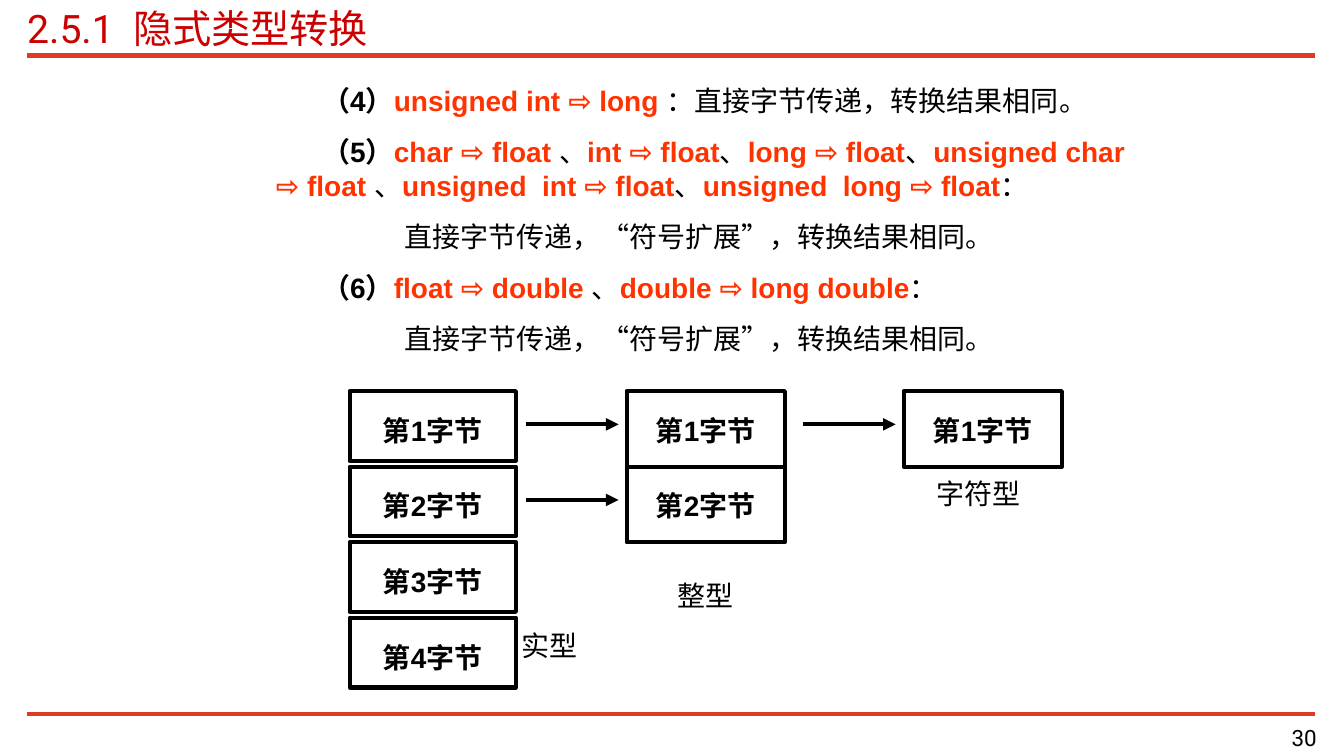
from lxml.etree import SubElement
from pptx import Presentation
from pptx.dml.color import RGBColor
from pptx.enum.shapes import MSO_CONNECTOR, MSO_SHAPE
from pptx.enum.text import MSO_ANCHOR, PP_ALIGN
from pptx.oxml.ns import qn
from pptx.util import Inches, Pt

# Content
TITLE = "2.5.1  隐式类型转换"
PAGE = "30"
SAME = "直接字节传递，“符号扩展”，转换结果相同。"
# Each paragraph: first-line indent, then (style, text) runs
ITEM, DETAIL = 0.46, 1.28
BODY = [
    (ITEM, [("label", "（4）"), ("type", "unsigned int ⇨ long "),
            ("plain", "：直接字节传递，转换结果相同。")]),
    (ITEM, [("label", "（5）"), ("type", "char ⇨ float "), ("plain", "、"),
            ("type", "int ⇨ float"), ("plain", "、"),
            ("type", "long ⇨ float"), ("plain", "、"),
            ("type", "unsigned char ⇨ float "), ("plain", "、"),
            ("type", "unsigned  int ⇨ float"), ("plain", "、"),
            ("type", "unsigned  long ⇨ float"), ("plain", "：")]),
    (DETAIL, [("plain", SAME)]),
    (ITEM, [("label", "（6）"), ("type", "float ⇨ double "), ("plain", "、"),
            ("type", "double ⇨ long double"), ("plain", "：")]),
    (DETAIL, [("plain", SAME)]),
]
# Byte columns: number of bytes, box width, box height
COLUMNS = [(4, 1.65, 0.69), (2, 1.57, 0.75), (1, 1.57, 0.75)]
# Column captions: text, left, top, alignment
CAPTIONS = [("实型", 5.18, 6.24, PP_ALIGN.LEFT),
            ("整型", 6.5, 5.74, PP_ALIGN.CENTER),
            ("字符型", 9.21, 4.73, PP_ALIGN.CENTER)]
ARROWS = [(0, 0), (0, 1), (1, 0)]  # column, row

# Style
COLORS = {"title": "CC0000", "rule": "E13A23", "type": "FF3300", "ink": "000000"}
STYLES = {"label": (True, "ink"), "type": (True, "type"), "plain": (False, "ink")}
W, H = 13.34, 7.5
MARGIN, CONTENT_W = 0.27, 12.78
GRID_X, GRID_Y, COL_PITCH, ROW_PITCH = 3.47, 3.88, 2.75, 0.75


def color(name):
    return RGBColor.from_string(COLORS[name])


def add_run(p, text, size=20, font="Arial", ink="ink", bold=False):
    r = p.add_run()
    r.text = text
    r.font.size, r.font.name, r.font.bold = Pt(size), font, bold
    r.font.color.rgb = color(ink)


def set_frame(tf, left=0, top=0, anchor=MSO_ANCHOR.TOP):
    tf.word_wrap = True
    tf.vertical_anchor = anchor
    tf.margin_left = tf.margin_right = Inches(left)
    tf.margin_top = tf.margin_bottom = Inches(top)
    return tf


def add_text(s, x, y, w, h, **frame):
    box = s.shapes.add_textbox(Inches(x), Inches(y), Inches(w), Inches(h))
    return set_frame(box.text_frame, **frame)


def add_line(s, x1, x2, y, width, ink, arrow=False):
    line = s.shapes.add_connector(MSO_CONNECTOR.STRAIGHT, Inches(x1), Inches(y),
                                  Inches(x2), Inches(y))
    line.line.width = Pt(width)
    line.line.color.rgb = color(ink)
    if arrow:
        SubElement(line.line._get_or_add_ln(), qn("a:tailEnd"), type="triangle")
    SubElement(line._element.spPr, qn("a:effectLst"))


def add_byte(s, x, y, w, h, text):
    sp = s.shapes.add_shape(MSO_SHAPE.RECTANGLE, Inches(x), Inches(y),
                            Inches(w), Inches(h))
    sp.shadow.inherit = False
    sp.fill.background()
    sp.line.color.rgb = color("ink")
    sp.line.width = Pt(3)
    tf = set_frame(sp.text_frame, left=0.1)
    tf.margin_top = Inches(0.22)
    p = tf.paragraphs[0]
    p.alignment = PP_ALIGN.CENTER
    add_run(p, text, bold=True)


prs = Presentation()
prs.slide_width, prs.slide_height = Inches(W), Inches(H)
s = prs.slides.add_slide(prs.slide_layouts[5])

# Title and rules
title = s.shapes.title
title.left, title.top = Inches(MARGIN), Inches(0.04)
title.width, title.height = Inches(CONTENT_W), Inches(0.47)
p = set_frame(title.text_frame, anchor=MSO_ANCHOR.MIDDLE).paragraphs[0]
p.alignment = PP_ALIGN.LEFT
add_run(p, TITLE, 28, "Roboto", "title")
for y, width in [(0.55, 4), (7.08, 3)]:
    add_line(s, MARGIN, MARGIN + CONTENT_W, y, width, "rule")

# Conversion rules
tf = add_text(s, 2.64, 0.78, 8.83, 2.9, left=0.1, top=0.05)
for i, (indent, runs) in enumerate(BODY):
    p = tf.paragraphs[0] if i == 0 else tf.add_paragraph()
    p._p.get_or_add_pPr().set("indent", str(Inches(indent)))
    if i:
        p.space_before = Pt(12.5)
    for style, text in runs:
        bold, ink = STYLES[style]
        add_run(p, text, ink=ink, bold=bold)

# Byte columns
for col, (count, w, h) in enumerate(COLUMNS):
    for row in range(count):
        add_byte(s, GRID_X + col * COL_PITCH, GRID_Y + row * ROW_PITCH, w, h,
                 f"第{row + 1}字节")

# Arrows end just before the next column
for col, row in ARROWS:
    end = GRID_X + (col + 1) * COL_PITCH - 0.08
    add_line(s, end - 0.92, end, GRID_Y + 0.33 + row * ROW_PITCH, 3, "ink", arrow=True)

# Captions and page number
for text, x, y, align in CAPTIONS:
    p = add_text(s, x, y, 1, 0.34).paragraphs[0]
    p.alignment = align
    add_run(p, text)
p = add_text(s, 10.39, 7.16, 2.68, 0.31, anchor=MSO_ANCHOR.MIDDLE).paragraphs[0]
p.alignment = PP_ALIGN.RIGHT
add_run(p, PAGE, 16, "Roboto")

prs.save("out.pptx")
